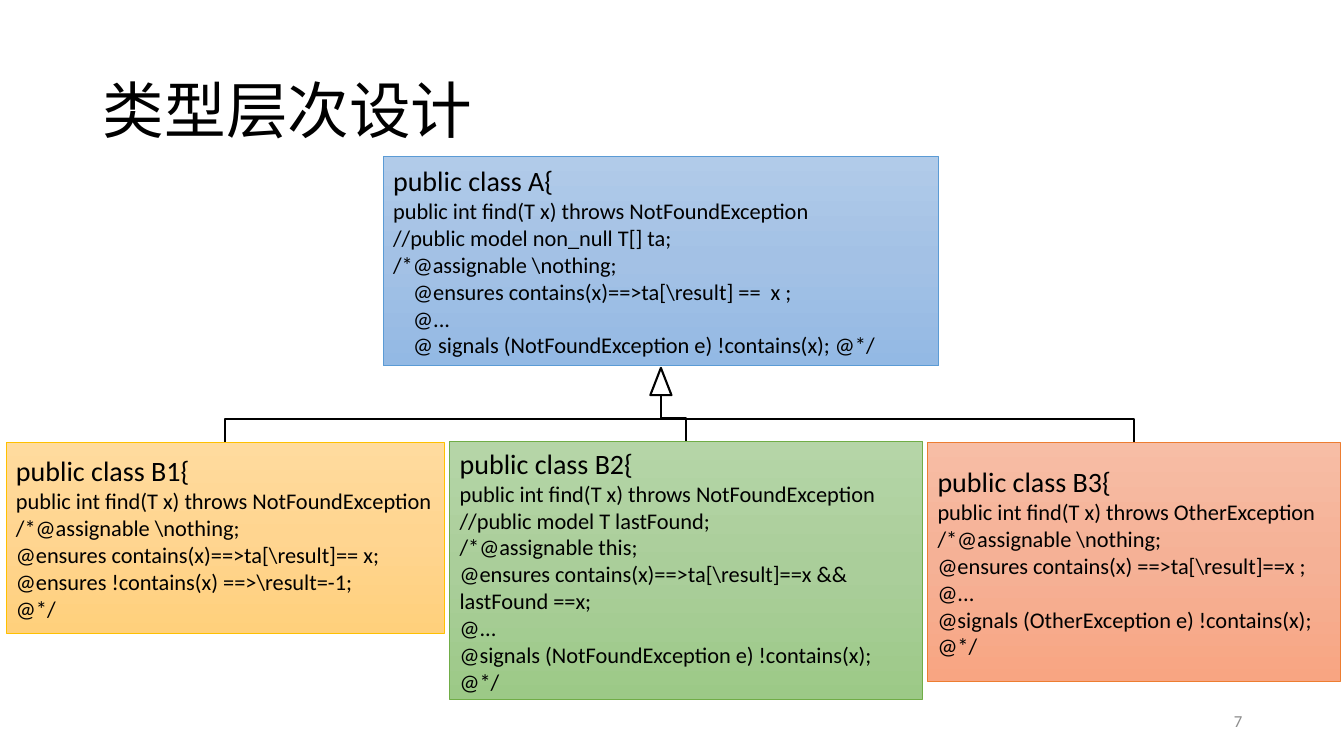
"""Build a slide showing a base class and its three subclasses."""
from copy import deepcopy
from dataclasses import dataclass

from pptx import Presentation
from pptx.dml.color import RGBColor
from pptx.enum.shapes import MSO_CONNECTOR, MSO_SHAPE
from pptx.enum.text import MSO_ANCHOR, PP_ALIGN
from pptx.oxml.ns import qn
from pptx.oxml.xmlchemy import OxmlElement
from pptx.shapes.autoshape import Shape
from pptx.slide import Slide
from pptx.text.text import _Paragraph
from pptx.util import Inches, Pt

ELBOW = MSO_CONNECTOR.ELBOW
RECTANGLE = MSO_SHAPE.RECTANGLE
TRIANGLE = MSO_SHAPE.ISOSCELES_TRIANGLE
MIDDLE = MSO_ANCHOR.MIDDLE
LEFT, RIGHT = PP_ALIGN.LEFT, PP_ALIGN.RIGHT
TITLE_ONLY = 5


@dataclass(frozen=True)
class Theme:
    """Colours, font and type sizes of the slide."""
    font: str = "Calibri"
    ink: str = "000000"
    paper: str = "FFFFFF"
    muted: str = "8C8C8C"
    title_size: int = 44
    class_size: int = 20
    code_size: int = 16
    number_size: int = 12
    border_width: float = 0.5
    link_width: float = 1.5
    code_indent: float = 0.2


THEME = Theme()


@dataclass(frozen=True)
class ClassBox:
    """A class with its place, colours and specification lines."""
    left: float
    top: float
    width: float
    height: float
    gradient: tuple[str, str, str]
    border: str
    heading: str
    code: tuple[str, ...]
    indented: int = 0

    @property
    def center(self) -> float:
        """Return the horizontal middle of the box."""
        return self.left + self.width / 2


BASE = ClassBox(
    3.8, 1.55, 5.51, 2.08, ("B1CBE9", "A3C1E5", "93B9E4"), "5B9BD5",
    "public class A{",
    ("public int find(T x) throws NotFoundException",
     "//public model non_null T[] ta;",
     "/*@assignable \\nothing;",
     "@ensures contains(x)==>ta[\\result] ==  x ;",
     "@...",
     "@ signals (NotFoundException e) !contains(x); @*/"),
    indented=3)

SUBCLASSES = (
    ClassBox(
        0.06, 4.39, 4.35, 1.89, ("FFDB9E", "FFD590", "FFD07C"), "FFC000",
        "public class B1{",
        ("public int find(T x) throws NotFoundException",
         "/*@assignable \\nothing;",
         "@ensures contains(x)==>ta[\\result]== x;",
         "@ensures !contains(x) ==>\\result=-1;",
         "@*/")),
    ClassBox(
        4.46, 4.38, 4.69, 2.56, ("B5D5A7", "AACE9A", "9CC987"), "70AD47",
        "public class B2{",
        ("public int find(T x) throws NotFoundException",
         "//public model T lastFound;",
         "/*@assignable this;",
         "@ensures contains(x)==>ta[\\result]==x && lastFound ==x;",
         "@...",
         "@signals (NotFoundException e) !contains(x);",
         "@*/")),
    ClassBox(
        9.2, 4.39, 4.09, 2.37, ("F7BDA5", "F5B196", "F8A582"), "ED7D31",
        "public class B3{",
        ("public int find(T x) throws OtherException",
         "/*@assignable \\nothing;",
         "@ensures contains(x) ==>ta[\\result]==x ;",
         "@...",
         "@signals (OtherException e) !contains(x); @*/")),
)

ARROW_TOP, ARROW_WIDTH, ARROW_HEIGHT = 3.65, 0.21, 0.27


def style(paragraph: _Paragraph, size: int, color: str = THEME.ink,
          align: PP_ALIGN = LEFT) -> None:
    """Format a whole paragraph."""
    paragraph.alignment = align
    paragraph.font.name = THEME.font
    paragraph.font.size = Pt(size)
    paragraph.font.color.rgb = RGBColor.from_string(color)


def fill_gradient(shape: Shape, colors: tuple[str, ...]) -> None:
    """Fill a shape from top to bottom with evenly spaced colours."""
    fill = shape.fill
    fill.gradient()
    fill.gradient_angle = 270
    stop_list = shape.element.spPr.find(".//" + qn("a:gsLst"))
    while len(stop_list) < len(colors):
        stop_list.append(deepcopy(stop_list[-1]))
    for index, (stop, color) in enumerate(zip(fill.gradient_stops, colors)):
        stop.position = index / (len(colors) - 1)
        stop.color.rgb = RGBColor.from_string(color)


def draw_class(slide: Slide, box: ClassBox) -> None:
    """Draw a class box with its code."""
    shape = slide.shapes.add_shape(
        RECTANGLE, Inches(box.left), Inches(box.top),
        Inches(box.width), Inches(box.height))
    shape.shadow.inherit = False
    fill_gradient(shape, box.gradient)
    shape.line.color.rgb = RGBColor.from_string(box.border)
    shape.line.width = Pt(THEME.border_width)
    frame = shape.text_frame
    frame.word_wrap = True
    frame.vertical_anchor = MIDDLE
    frame.paragraphs[0].text = box.heading
    style(frame.paragraphs[0], THEME.class_size)
    for index, text in enumerate(box.code):
        line = frame.add_paragraph()
        line.text = text
        style(line, THEME.code_size)
        if index >= len(box.code) - box.indented:
            margin = Inches(THEME.code_indent)
            line._p.get_or_add_pPr().set("marL", str(margin))


def draw_arrowhead(slide: Slide) -> None:
    """Draw the hollow inheritance arrowhead under the base class."""
    arrowhead = slide.shapes.add_shape(
        TRIANGLE, Inches(BASE.center - ARROW_WIDTH / 2), Inches(ARROW_TOP),
        Inches(ARROW_WIDTH), Inches(ARROW_HEIGHT))
    arrowhead.shadow.inherit = False
    arrowhead.fill.solid()
    arrowhead.fill.fore_color.rgb = RGBColor.from_string(THEME.paper)
    arrowhead.line.color.rgb = RGBColor.from_string(THEME.ink)
    arrowhead.line.width = Pt(THEME.link_width)


def draw_inheritance(slide: Slide, subclass: ClassBox) -> None:
    """Link the arrowhead to a subclass with a turned elbow connector."""
    start = ARROW_TOP + ARROW_HEIGHT
    middle_x = (BASE.center + subclass.center) / 2
    middle_y = (start + subclass.top) / 2
    rightward = subclass.center > BASE.center
    half_drop = (subclass.top - start) / 2 * (-1 if rightward else 1)
    half_span = abs(subclass.center - BASE.center) / 2
    link = slide.shapes.add_connector(
        ELBOW, Inches(middle_x - half_drop), Inches(middle_y - half_span),
        Inches(middle_x + half_drop), Inches(middle_y + half_span))
    link.line.color.rgb = RGBColor.from_string(THEME.ink)
    link.line.width = Pt(THEME.link_width)
    properties = link.element.spPr
    degrees = 270 if rightward else 90
    properties.find(qn("a:xfrm")).set("rot", str(degrees * 60000))
    properties.append(OxmlElement("a:effectLst"))


def draw_title(slide: Slide) -> None:
    """Place and format the slide title."""
    title = slide.shapes.title
    title.left, title.top = Inches(0.92), Inches(0.4)
    title.width, title.height = Inches(11.5), Inches(1.45)
    title.text_frame.text = "类型层次设计"
    title.text_frame.vertical_anchor = MIDDLE
    heading = title.text_frame.paragraphs[0]
    heading.line_spacing = 0.9
    style(heading, THEME.title_size)


def draw_number(slide: Slide) -> None:
    """Place the slide number."""
    number = slide.shapes.add_textbox(
        Inches(9.42), Inches(6.95), Inches(3), Inches(0.4))
    number.text_frame.word_wrap = True
    number.text_frame.vertical_anchor = MIDDLE
    number.text_frame.text = "7"
    style(number.text_frame.paragraphs[0], THEME.number_size, THEME.muted, RIGHT)


def main() -> None:
    """Build and save the presentation."""
    deck = Presentation()
    deck.slide_width, deck.slide_height = Inches(13.33), Inches(7.5)
    slide = deck.slides.add_slide(deck.slide_layouts[TITLE_ONLY])
    draw_title(slide)
    draw_number(slide)
    for box in (BASE, *SUBCLASSES):
        draw_class(slide, box)
    draw_arrowhead(slide)
    for subclass in SUBCLASSES:
        draw_inheritance(slide, subclass)
    deck.save("out.pptx")


if __name__ == "__main__":
    main()
